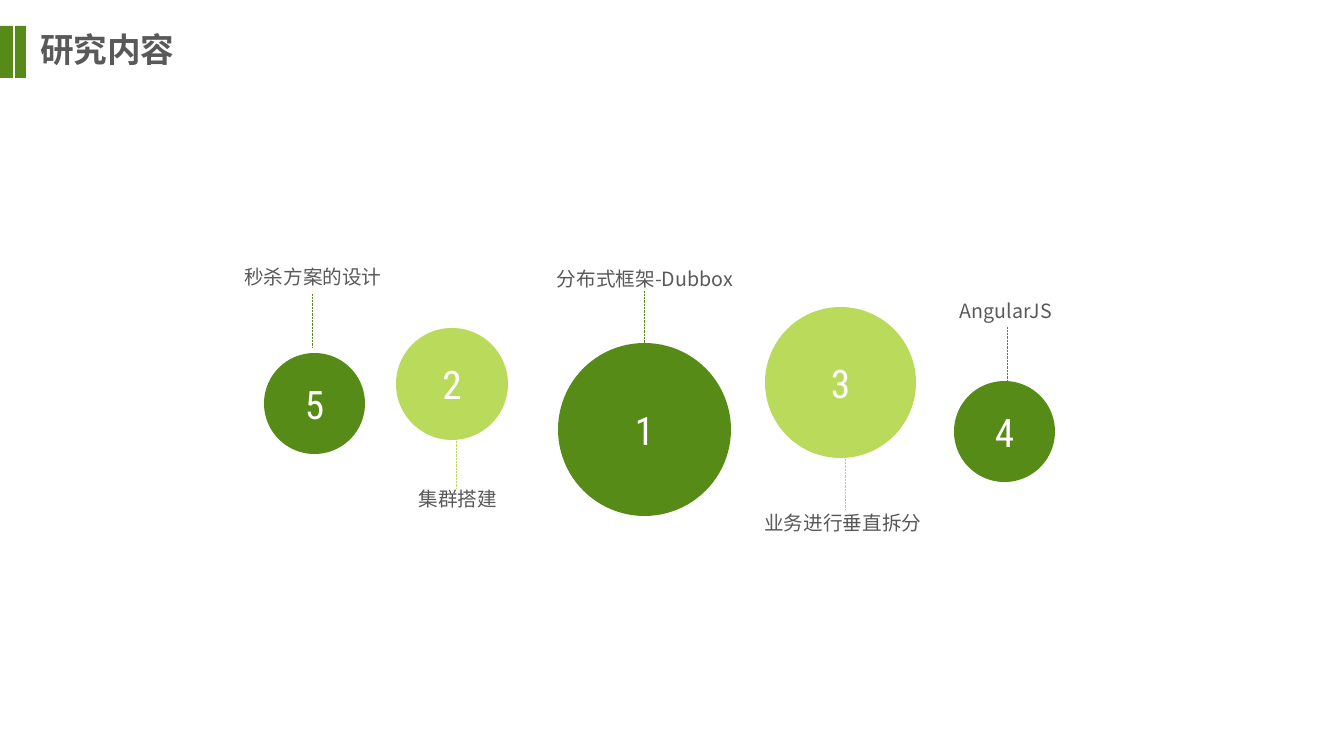
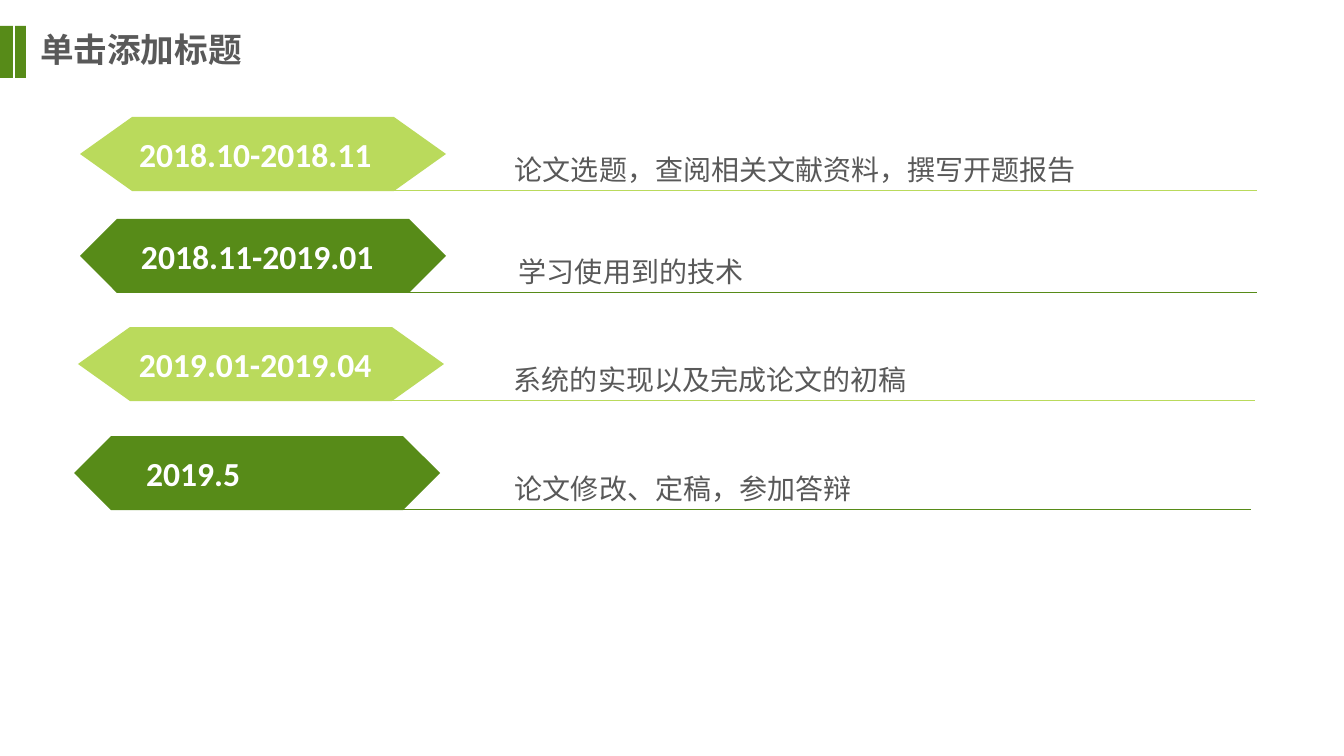
from dataclasses import dataclass

from lxml.etree import SubElement
from pptx import Presentation
from pptx.dml.color import RGBColor as Rgb
from pptx.enum.dml import MSO_LINE
from pptx.enum.shapes import MSO_CONNECTOR as Connector, MSO_SHAPE as Preset
from pptx.enum.text import MSO_ANCHOR as Anchor, MSO_AUTO_SIZE as AutoSize, PP_ALIGN as Align
from pptx.oxml.ns import qn
from pptx.util import Emu, Pt


@dataclass(frozen=True)
class Theme:
    dark: str = "578B18"
    light: str = "BADA5C"
    text: str = "595959"
    white: str = "FFFFFF"
    cjk: str = "Noto Sans CJK SC"
    date: str = "Calibri"
    digit: str = "Roboto Condensed"
    heading_size: int = 24
    number_size: int = 28
    label_size: int = 14
    task_size: int = 20
    line_width: float = 0.5


THEME = Theme()
PX = 914400 / 100.8
PAGE_WIDTH, PAGE_HEIGHT = 1344, 756
TITLE_AREA = (30, 25, 333, 48)
BARS = [(0, 26, 13, 52), (15, 26, 11, 52)]

TOPICS_TITLE = "研究内容"
TOPICS = [
    dict(number="5", label="秒杀方案的设计", circle=(264, 353, 101), color=THEME.dark, stem=(312, 294), label_at=(313, 261)),
    dict(number="2", label="集群搭建", circle=(396, 328, 112), color=THEME.light, stem=(456, 435), label_at=(458, 483)),
    dict(number="1", label="分布式框架-Dubbox", circle=(558, 343, 173), color=THEME.dark, stem=(644, 291), label_at=(645, 263)),
    dict(number="3", label="业务进行垂直拆分", circle=(765, 307, 151), color=THEME.light, stem=(845, 456), label_at=(843, 507)),
    dict(number="4", label="AngularJS", circle=(954, 381, 101), color=THEME.dark, stem=(1007, 327), label_at=(1006, 295)),
]
STEM_LENGTH = 53
LABEL_WIDTH, LABEL_HEIGHT = 220, 32

PLAN_TITLE = "单击添加标题"
PLAN = [
    dict(date="2018.10-2018.11", task="论文选题，查阅相关文献资料，撰写开题报告", at=(80, 117), date_left=139, task_left=505),
    dict(date="2018.11-2019.01", task="学习使用到的技术", at=(80, 219), date_left=141, task_left=509),
    dict(date="2019.01-2019.04", task="系统的实现以及完成论文的初稿", at=(78, 327), date_left=139, task_left=504),
    dict(date="2019.5", task="论文修改、定稿，参加答辩", at=(74, 436), date_left=146, task_left=505),
]
BANNER_STYLES = [(THEME.light, 52), (THEME.dark, 37)]
BANNER_WIDTH, BANNER_HEIGHT = 366, 74
RULE_START, RULE_END = 310, 1177
TASK_DROP, TASK_WIDTH, TASK_HEIGHT = 30, 747, 44


def px(*lengths):
    return [Emu(round(length * PX)) for length in lengths]


def write(shape, text, size, color, font, align=Align.LEFT, bold=False):
    frame = shape.text_frame
    frame.word_wrap = True
    frame.auto_size = AutoSize.NONE
    frame.vertical_anchor = Anchor.MIDDLE
    para = frame.paragraphs[0]
    para.alignment = align
    span = para.add_run()
    span.text = text
    span.font.size = Pt(size)
    span.font.bold = bold
    span.font.color.rgb = Rgb.from_string(color)
    span.font.name = font
    SubElement(span.font._element, qn("a:ea"), typeface=font)
    return frame


def paint(shape, color):
    shape.shadow.inherit = False
    shape.fill.solid()
    shape.fill.fore_color.rgb = Rgb.from_string(color)
    shape.line.fill.background()
    return shape


def add_preset(page, preset, area, color):
    return paint(page.shapes.add_shape(preset, *px(*area)), color)


def add_line(page, start, end, color, dash=None):
    line = page.shapes.add_connector(Connector.STRAIGHT, *px(*start, *end))
    line.line.color.rgb = Rgb.from_string(color)
    line.line.width = Pt(THEME.line_width)
    if dash:
        line.line.dash_style = dash
    SubElement(line._element.spPr, qn("a:effectLst"))


def add_banner(page, left, top, inset, color):
    right, bottom, middle = left + BANNER_WIDTH, top + BANNER_HEIGHT, top + BANNER_HEIGHT / 2
    outline = page.shapes.build_freeform(left + inset, top, scale=PX)
    outline.add_line_segments([
        (right - inset, top), (right, middle), (right - inset, bottom),
        (left + inset, bottom), (left, middle),
    ])
    return paint(outline.convert_to_shape(), color)


def prepare_layout(deck):
    layout = deck.slide_layouts.get_by_name("Title Only")
    for holder in list(layout.placeholders):
        if holder.placeholder_format.idx != 0:
            holder._element.getparent().remove(holder._element)
    title = layout.placeholders[0]
    title.left, title.top, title.width, title.height = px(*TITLE_AREA)
    return layout


def add_page(deck, layout, title):
    page = deck.slides.add_slide(layout)
    write(page.shapes.title, title, THEME.heading_size, THEME.text, THEME.cjk, bold=True)
    return page


def add_bars(page, layout):
    for area in BARS:
        bar = add_preset(page, Preset.RECTANGLE, area, THEME.dark)
        bar.name = f"Title bar {area[0]}"
        layout.shapes._spTree.append(bar._element)


def fill_topics(page):
    for topic in TOPICS:
        left, top, diameter = topic["circle"]
        circle = add_preset(page, Preset.OVAL, (left, top, diameter, diameter), topic["color"])
        write(circle, topic["number"], THEME.number_size, THEME.white, THEME.digit, Align.CENTER)
        x, y = topic["stem"]
        add_line(page, (x, y), (x, y + STEM_LENGTH), topic["color"], MSO_LINE.ROUND_DOT)
        center, label_top = topic["label_at"]
        area = (center - LABEL_WIDTH / 2, label_top, LABEL_WIDTH, LABEL_HEIGHT)
        label = page.shapes.add_textbox(*px(*area))
        write(label, topic["label"], THEME.label_size, THEME.text, THEME.cjk, Align.CENTER)


def fill_plan(page):
    for index, stage in enumerate(PLAN):
        color, inset = BANNER_STYLES[index % len(BANNER_STYLES)]
        left, top = stage["at"]
        banner = add_banner(page, left, top, inset, color)
        frame = write(banner, stage["date"], THEME.heading_size, THEME.white, THEME.date, bold=True)
        frame.margin_left, frame.margin_right = px(stage["date_left"] - left, 0)
        area = (stage["task_left"], top + TASK_DROP, TASK_WIDTH, TASK_HEIGHT)
        task = page.shapes.add_textbox(*px(*area))
        write(task, stage["task"], THEME.task_size, THEME.text, THEME.cjk)
        rule_y = top + BANNER_HEIGHT - 1
        add_line(page, (left + RULE_START, rule_y), (left + RULE_END, rule_y), color)


def main():
    deck = Presentation()
    deck.slide_width, deck.slide_height = px(PAGE_WIDTH, PAGE_HEIGHT)
    layout = prepare_layout(deck)
    topics_page = add_page(deck, layout, TOPICS_TITLE)
    add_bars(topics_page, layout)
    fill_topics(topics_page)
    fill_plan(add_page(deck, layout, PLAN_TITLE))
    deck.save("out.pptx")


if __name__ == "__main__":
    main()
